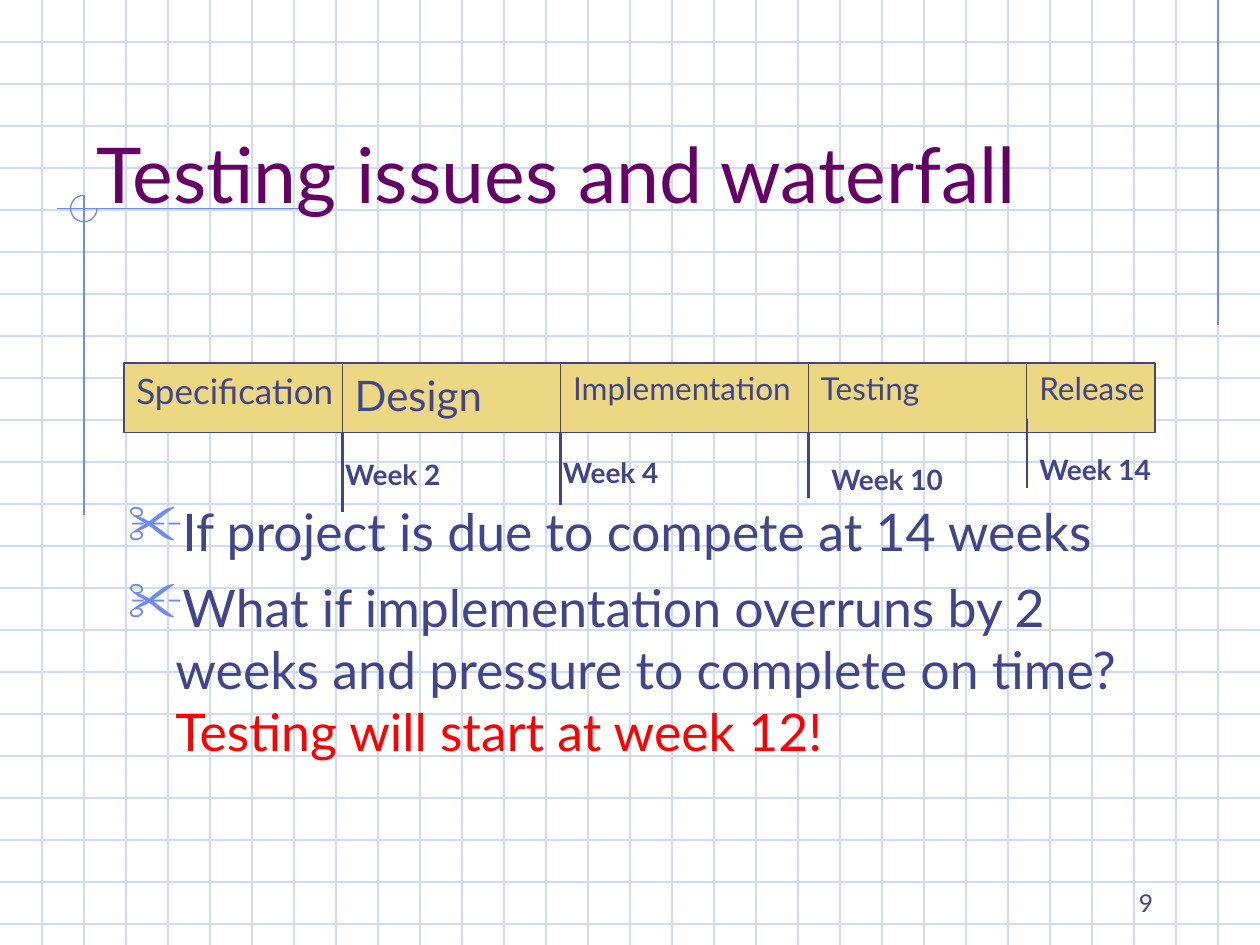
import pptx
import pptx.util
import pptx.dml.color
import pptx.enum.shapes
import pptx.enum.text
import pptx.oxml
import pptx.oxml.ns

COLORS = {"grid": "CFDBFD", "accent": "6F89F7", "ink": "40458C", "title": "660066",
          "phase": "ECD882", "alert": "FF0000", "paper": "FFFFFF"}
SHAPES = pptx.enum.shapes.MSO_SHAPE
ALIGN = pptx.enum.text.PP_ALIGN
ANCHOR = pptx.enum.text.MSO_ANCHOR
COLS, ROWS = 30, 22.5


def rgb(name):
    return pptx.dml.color.RGBColor.from_string(COLORS[name])


def add_run(p, text, size=18, color="ink", bold=False, font="Lato"):
    r = p.add_run()
    r.text = text
    r.font.name, r.font.size, r.font.bold = font, pptx.util.Pt(size), bold
    r.font.color.rgb = rgb(color)
    return r


class Sheet:
    """Draws elements on one slide, measured in cells of its squared paper."""

    def __init__(self, prs):
        self.s = prs.slides.add_slide(prs.slide_layouts[6])
        self.cell = prs.slide_width / COLS
        self.s.background.fill.solid()
        self.s.background.fill.fore_color.rgb = rgb("paper")

    def cells(self, *values):
        return [pptx.util.Emu(round(v * self.cell)) for v in values]

    def line(self, x1, y1, x2, y2, color="ink", width=0.74):
        c = self.s.shapes.add_connector(
            pptx.enum.shapes.MSO_CONNECTOR.STRAIGHT, *self.cells(x1, y1, x2, y2))
        c.line.color.rgb, c.line.width = rgb(color), pptx.util.Pt(width)
        c._element.spPr.append(pptx.oxml.parse_xml(
            "<a:effectLst %s/>" % pptx.oxml.ns.nsdecls("a")))

    def shape(self, kind, x, y, w, h, fill=None, line="ink"):
        sp = self.s.shapes.add_shape(kind, *self.cells(x, y, w, h))
        sp.shadow.inherit = False
        if fill:
            sp.fill.solid()
            sp.fill.fore_color.rgb = rgb(fill)
        else:
            sp.fill.background()
        sp.line.color.rgb, sp.line.width = rgb(line), pptx.util.Pt(0.74)
        return sp

    def phase(self, name, x, y, w, h, size):
        tf = self.shape(SHAPES.RECTANGLE, x, y, w, h, fill="phase").text_frame
        tf.word_wrap, tf.vertical_anchor = False, ANCHOR.TOP
        tf.paragraphs[0].alignment = ALIGN.LEFT
        add_run(tf.paragraphs[0], name, size=size)

    def text(self, text, x, y, w, h, anchor=ANCHOR.TOP, align=ALIGN.LEFT, **fmt):
        tf = self.s.shapes.add_textbox(*self.cells(x, y, w, h)).text_frame
        tf.word_wrap, tf.vertical_anchor = True, anchor
        tf.paragraphs[0].alignment = align
        if text:
            add_run(tf.paragraphs[0], text, **fmt)
        return tf

    def bullets(self, items, x, y, w, h, top, size):
        tf = self.text("", x, y, w, h)
        tf.margin_top, indent = self.cells(top, 1.13)
        for i, runs in enumerate(items):
            p = tf.add_paragraph() if i else tf.paragraphs[0]
            p.space_before = pptx.util.Pt(8 if i else 0)
            pPr = p._p.get_or_add_pPr()
            pPr.set("marL", str(indent))
            pPr.set("indent", str(-indent))
            ns = pptx.oxml.ns.nsdecls("a")
            for xml in ('<a:buClr %s><a:srgbClr val="%s"/></a:buClr>' % (ns, COLORS["accent"]),
                        '<a:buSzPct %s val="110000"/>' % ns,
                        '<a:buChar %s char="\u2702"/>' % ns):
                pPr.append(pptx.oxml.parse_xml(xml))
            for text, color in runs:
                add_run(p, text, size=size, color=color)


prs = pptx.Presentation()
prs.slide_width, prs.slide_height = pptx.util.Inches(10), pptx.util.Inches(7.5)
sheet = Sheet(prs)

for row in range(1, 23):
    sheet.line(0, row, COLS, row, "grid")
for col in range(1, COLS):
    sheet.line(col, 0, col, ROWS, "grid")

for ends in ((29, 0, 29, 7.75), (1.35, 4.97, 7.2, 4.97), (2, 4.65, 2, 12.27)):
    sheet.line(*ends, color="accent")
arc = sheet.shape(SHAPES.ARC, 1.68, 4.65, 0.63, 0.63, line="accent")
arc.adjustments[0], arc.adjustments[1] = 0, 162

edges = [2.95, 8.15, 13.35, 19.25, 24.45, 27.5]
for edge, start, end in zip(edges[1:4], (9.98, 9.8, 9.7), (12.18, 12.03, 11.87)):
    sheet.line(edge, start, edge, end, width=2)

sheet.text("Testing issues and waterfall", 2, 1.6, 25.5, 3.75,
           anchor=ANCHOR.BOTTOM, size=44, color="title")
sheet.bullets([
    [("If project is due to compete at 14 weeks", "ink")],
    [("What if implementation overruns by 2 weeks and pressure to complete on time? ", "ink"),
     ("Testing will start at week 12!", "alert")],
], 2.75, 6.25, 25.5, 13.5, top=5.64, size=29.6)
sheet.text("9", 21.5, 20.5, 6.25, 1.5, anchor=ANCHOR.BOTTOM, align=ALIGN.RIGHT, size=14)

phases = [("Specification", 20), ("Design", 24), ("Implementation", 18),
          ("Testing", 18), ("Release", 18)]
for (name, size), left, right in zip(phases, edges, edges[1:]):
    sheet.phase(name, left, 8.64, right - left, 1.66, size)
for week, x, y in ((2, 7.92, 10.75), (4, 13.11, 10.69), (10, 19.5, 10.86), (14, 24.45, 10.62)):
    sheet.text(f"Week {week}", x, y, 4.02, 1.11, size=16, bold=True)
sheet.line(edges[4], 9.98, edges[4], 11.62)

prs.save("out.pptx")
